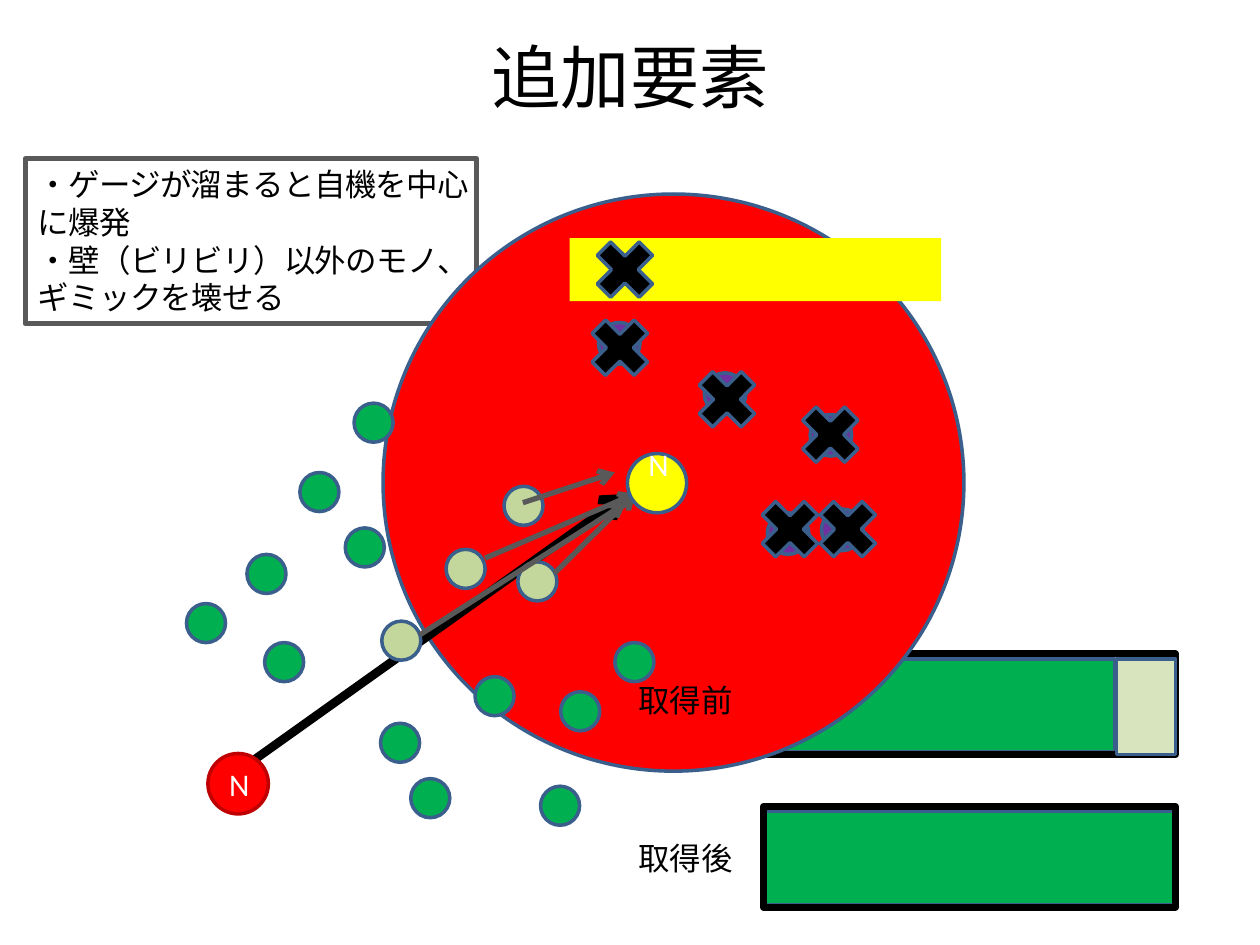
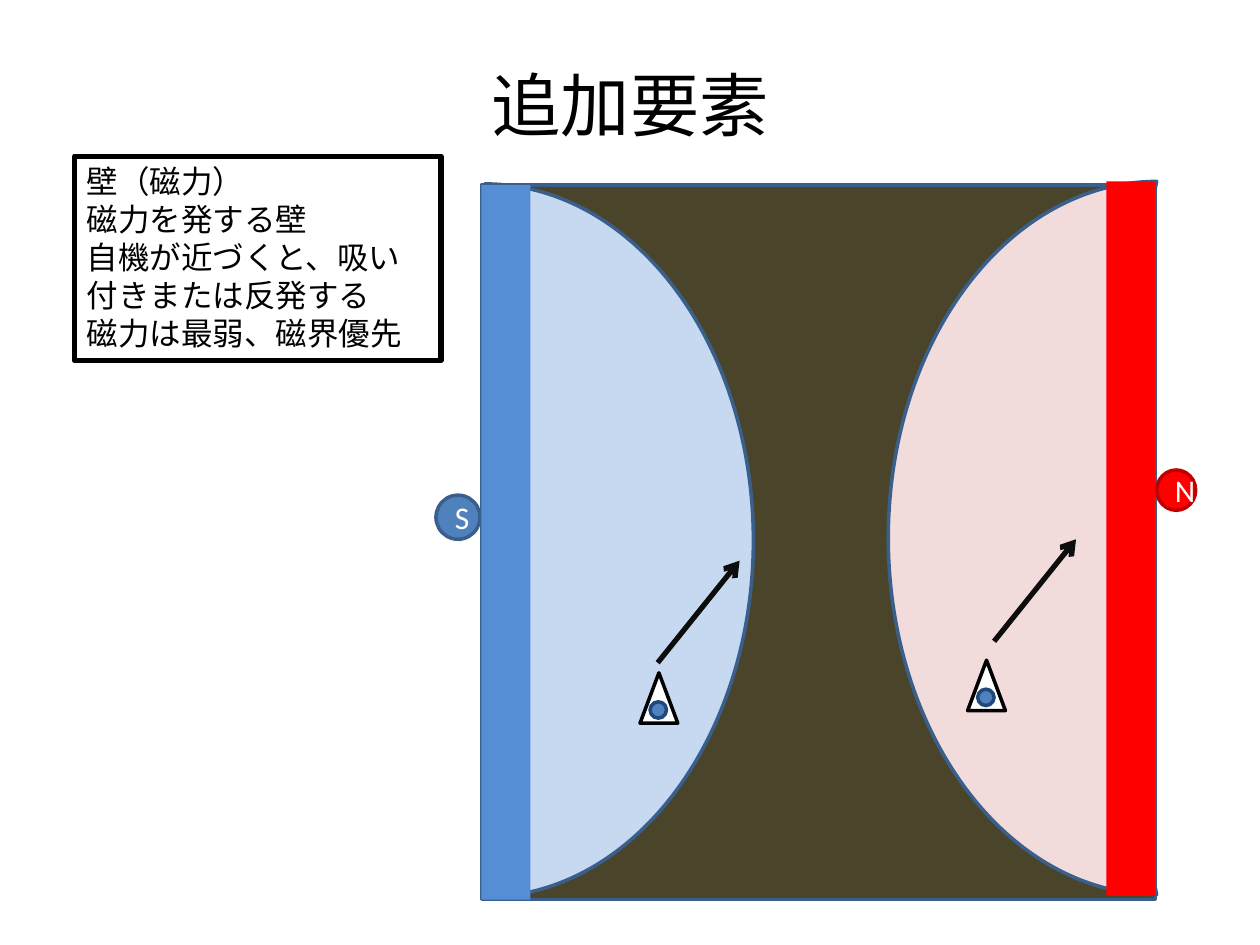
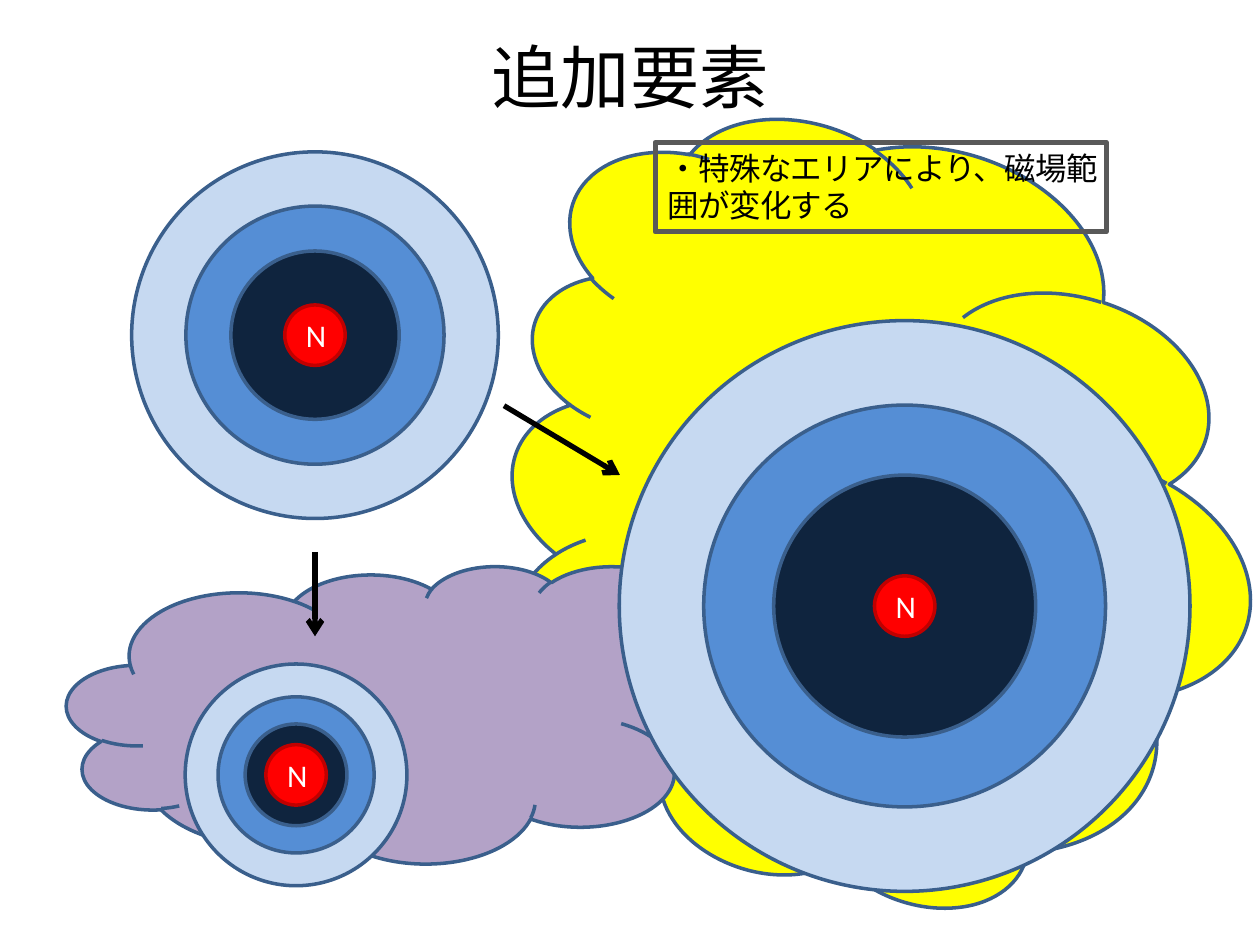
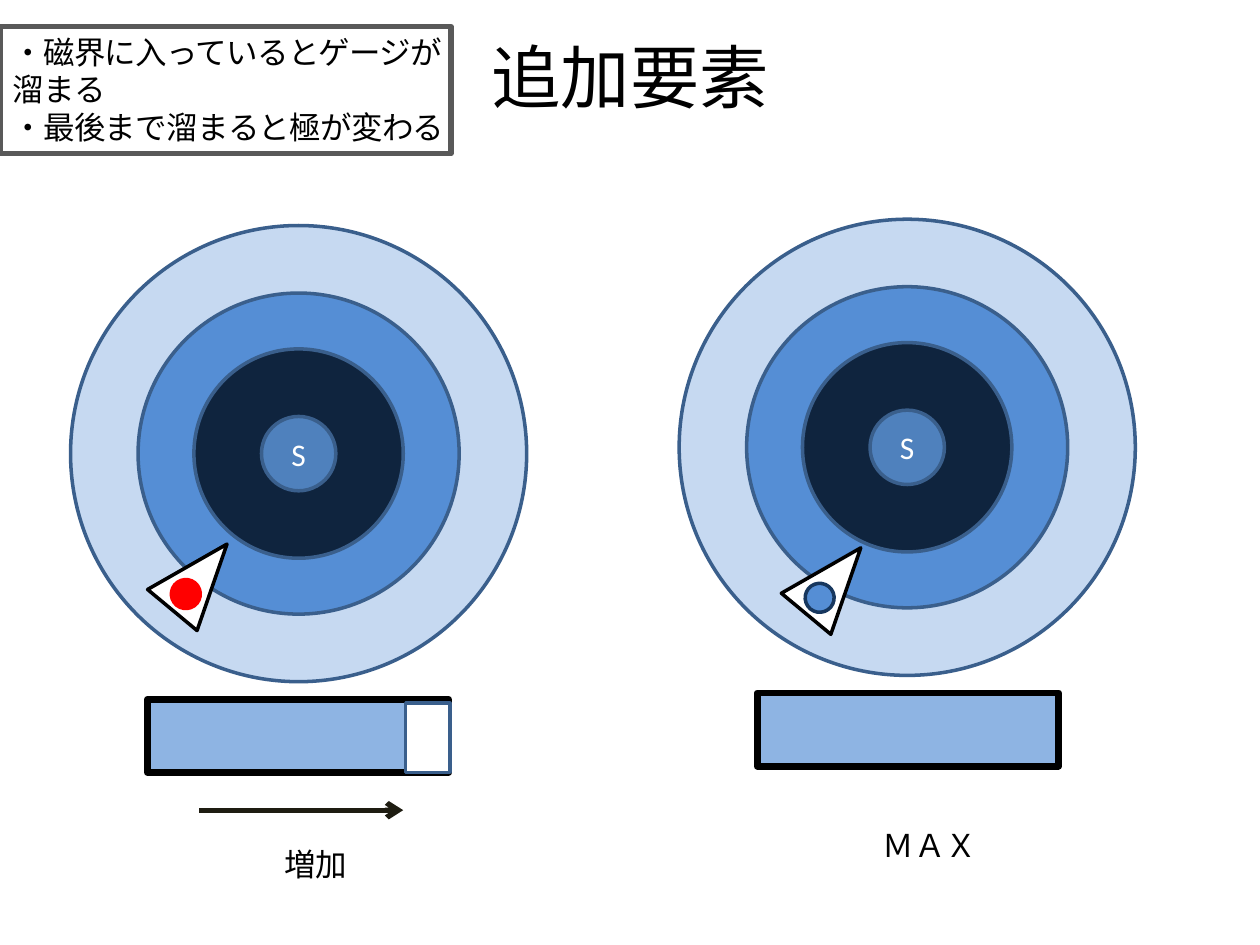
from lxml import etree
from pptx import Presentation
from pptx import util as u
from pptx.dml.color import RGBColor
from pptx.enum import shapes, text
from pptx.oxml import ns

COLOURS = {
    "black": "000000", "white": "FFFFFF", "grey": "595959", "ink": "0D0D0D",
    "outline": "3A5F8C", "red": "FF0000", "dark red": "C00000",
    "yellow": "FFFF00", "green": "00B050", "pale green": "C3D69B",
    "empty green": "D7E4BD", "purple": "7030A0", "lilac": "B3A2C7",
    "pole blue": "4F81BD", "pale blue": "C6D9F1", "mid blue": "558ED5",
    "night blue": "0F243E", "gauge blue": "8EB4E3", "deep blue": "1F497D",
    "ship blue": "17375E", "olive": "4A452A", "pale red": "F2DCDB",
    "dark olive": "1E1C11",
}
RGB = {name: RGBColor.from_string(value) for name, value in COLOURS.items()}
FONT = "Calibri"
KIND = shapes.MSO_SHAPE
LEFT, CENTER = text.PP_ALIGN.LEFT, text.PP_ALIGN.CENTER
TOP, MIDDLE = text.MSO_ANCHOR.TOP, text.MSO_ANCHOR.MIDDLE
DOT = "\u30fb"  # the middle dot that opens each rule

deck = Presentation()
deck.slide_width, deck.slide_height = u.Inches(10), u.Inches(7.5)
# The page grid: 100 columns by 75 rows of square cells.
COL = deck.slide_width / 100
ROW = deck.slide_height / 75


def draw(slide, kind, box, fill=None, edge="outline", weight=2, words="",
         ink="white", align=CENTER, anchor=MIDDLE):
    """Add a preset shape; box is left, top, width, height in grid cells."""
    left, top, width, height = box
    shape = slide.shapes.add_shape(kind, round(left * COL), round(top * ROW),
                                   round(width * COL), round(height * ROW))
    shape.shadow.inherit = False
    if fill:
        shape.fill.solid()
        shape.fill.fore_color.rgb = RGB[fill]
    else:
        shape.fill.background()
    if edge:
        shape.line.color.rgb = RGB[edge]
        shape.line.width = u.Pt(weight)
    else:
        shape.line.fill.background()
    if words:
        frame = shape.text_frame
        frame.text = words
        frame.word_wrap = True
        frame.vertical_anchor = anchor
        for paragraph in frame.paragraphs:
            paragraph.alignment = align
            run = paragraph.runs[0]
            run.font.name, run.font.size = FONT, u.Pt(18)
            run.font.color.rgb = RGB[ink]
            if words.startswith(DOT):  # fourteen full-width characters a line
                frame.margin_right = 0
                run._r.get_or_add_rPr().set("spc", "-40")
    return shape


def draw_arrow(slide, start, end, colour="black", weight=3):
    """Add a straight arrow between two grid points."""
    arrow = slide.shapes.add_connector(
        shapes.MSO_CONNECTOR.STRAIGHT, round(start[0] * COL), round(start[1] * ROW),
        round(end[0] * COL), round(end[1] * ROW))
    arrow.line.color.rgb = RGB[colour]
    arrow.line.width = u.Pt(weight)
    properties = arrow._element.spPr
    etree.SubElement(properties.find(ns.qn("a:ln")), ns.qn("a:tailEnd"), type="arrow")
    etree.SubElement(properties, ns.qn("a:effectLst"))


# Four slides under one title
pages = []
for title_top in (3, 5.2, 3, 3):
    page = deck.slides.add_slide(deck.slide_layouts[5])
    title = page.shapes.title
    title.left, title.top = round(5 * COL), round(title_top * ROW)
    title.width, title.height = round(90 * COL), round(6.1 * ROW)
    title.text_frame.text = "追加要素"
    title.text_frame.auto_size = text.MSO_AUTO_SIZE.NONE
    title.text_frame.vertical_anchor = MIDDLE
    heading = title.text_frame.paragraphs[0]
    heading.alignment = CENTER
    heading.runs[0].font.name, heading.runs[0].font.size = FONT, u.Pt(39.6)
    heading.runs[0].font.color.rgb = RGB["black"]
    pages.append(page)
explosion, walls, areas, charging = pages

# Slide 1: rules, gauges before and after, then the blast
draw(explosion, KIND.RECTANGLE, (2, 12.6, 35.8, 13.1), None, "grey", 3,
     DOT + "ゲージが溜まると自機を中心に爆発\n"
     + DOT + "壁\uff08ビリビリ\uff09以外のモノ、ギミックを壊せる", "black", LEFT, TOP)
for gauge_top, filled in ((51.9, 27.9), (64, 32.7)):
    draw(explosion, KIND.RECTANGLE, (60.6, gauge_top + 0.4, filled, 7.4), "green")
    draw(explosion, KIND.RECTANGLE, (60.6, gauge_top, 32.7, 8), None, "black", 4)
    if filled < 32.7:
        draw(explosion, KIND.RECTANGLE, (88.6, gauge_top + 0.4, 4.7, 7.6), "empty green")
draw(explosion, KIND.OVAL, (30.4, 15.4, 46.1, 45.8), "red")
draw_arrow(explosion, (19.9, 60.5), (49.8, 39.2), weight=5)

items = {
    "green": ((27.4, 41.9), (19.6, 44), (21, 51), (48.8, 51), (30.2, 57.4),
              (32.6, 61.8), (42.9, 62.4), (44.5, 54.9), (28.1, 32),
              (23.8, 37.5), (14.8, 47.9), (37.7, 53.7)),
    "pale green": ((41.1, 44.6), (40, 38.6), (35.4, 43.6), (30.3, 49.3)),
}
for colour, places in items.items():
    for left, top in places:
        draw(explosion, KIND.OVAL, (left, top, 3.1, 3.1), colour)
for start, end in (((41.5, 39.9), (48.8, 37.5)), ((38.5, 44.3), (50.4, 39.2)),
                   ((44, 45.5), (50.4, 39.2)), ((33.3, 50.4), (49.7, 39.9))):
    draw_arrow(explosion, start, end, "grey")

draw(explosion, KIND.OVAL, (16.5, 59.8, 4.8, 4.8), "red", "dark red", words="N")
blast_core = draw(explosion, KIND.OVAL, (49.8, 36, 4.7, 4.7), "yellow", words="N")
blast_core.text_frame.margin_top = round(-2.5 * ROW)  # raises the letter
draw(explosion, KIND.RECTANGLE, (45.2, 18.9, 29.5, 5), "yellow", None)
for left, top in ((65.2, 40.4), (55.9, 29.6), (60.9, 40.7), (64.3, 32.9), (47.5, 25.6)):
    draw(explosion, KIND.OVAL, (left, top, 3.3, 3.3), "purple")
for left, top in ((46.4, 18.2), (46, 24.4), (54.5, 28.5), (62.7, 31.3),
                  (64.1, 38.8), (59.5, 38.8)):
    draw(explosion, KIND.MATH_MULTIPLY, (left, top, 6.4, 6.4), "black")

# Slide 2: magnetic walls and their fields
draw(walls, KIND.RECTANGLE, (38.2, 14.7, 53.5, 56.7), "olive")
draw(walls, KIND.RECTANGLE, (5.9, 12.4, 29.1, 16.2), None, "black", 3,
     "壁\uff08磁力\uff09\n磁力を発する壁\n自機が近づくと、吸い付きまたは反発する\n"
     "磁力は最弱、磁界優先", "black", LEFT, TOP)
draw(walls, KIND.OVAL, (34.6, 39.3, 3.5, 3.5), "pole blue", words="S")
draw(walls, KIND.OVAL, (91.8, 37.3, 3.1, 3.2), "red", "dark red", words="N")
for field_left, field_top, field, wall_left, wall_top, wall, flipped in (
    (38.5, 14.6, "pale blue", 38.2, 14.7, "mid blue", True),
    (70.5, 14.4, "pale red", 87.8, 14.4, "red", False),
):
    moon = draw(walls, KIND.MOON, (field_left, field_top, 21.3, 56.6), field)
    moon.adjustments[0] = 0.875
    if flipped:
        moon._element.spPr.find(ns.qn("a:xfrm")).set("flipH", "1")
    draw(walls, KIND.RECTANGLE, (wall_left, wall_top, 3.9, 56.7), wall, None)
for left, top, start in ((76.8, 52.4, (78.9, 50.9)), (50.8, 53.4, (52.2, 52.6))):
    draw(walls, KIND.ISOSCELES_TRIANGLE, (left, top, 3, 4), "white", "black")
    draw(walls, KIND.OVAL, (left + 0.8, top + 2.3, 1.3, 1.3), "pole blue", "deep blue")
    draw_arrow(walls, start, (start[0] + 6.5, start[1] - 8.1), "ink")

# Slide 3: the special areas
growing = draw(areas, KIND.CLOUD, (39.7, 10.5, 59.4, 61.1), "yellow")
growing.rotation = 287.6
draw(areas, KIND.CLOUD, (5.3, 44.9, 55.7, 23.6), "lilac")

# Slides 3 and 4: magnetic fields as rings around a pole
rings = (("pale blue", 1), ("mid blue", 0.704), ("night blue", 0.459))
for page, x, y, size, core, pole, fill, edge in (
    (areas, 25, 26.6, 29.1, 4.8, "N", "red", "dark red"),
    (areas, 71.8, 48.1, 45.3, 4.8, "N", "red", "dark red"),
    (areas, 23.5, 61.5, 17.6, 4.8, "N", "red", "dark red"),
    (charging, 23.7, 36, 36.2, 5.9, "S", "pole blue", "outline"),
    (charging, 72, 35.5, 36.2, 5.9, "S", "pole blue", "outline"),
):
    for colour, share in rings:
        across = size * share
        draw(page, KIND.OVAL, (x - across / 2, y - across / 2, across, across), colour)
    draw(page, KIND.OVAL, (x - core / 2, y - core / 2, core, core), fill, edge, words=pole)

draw(areas, KIND.RECTANGLE, (52, 11.3, 35.8, 7.1), None, "grey", 3,
     DOT + "特殊なエリアにより、磁場範囲が変化する", "black", LEFT, TOP)
draw_arrow(areas, (25, 43.8), (25, 50.5))
draw_arrow(areas, (40, 32.2), (49.2, 37.7))

# Slide 4: rules, gauges and ships
draw(charging, KIND.RECTANGLE, (0, 2.1, 35.8, 10.1), None, "grey", 3,
     DOT + "磁界に入っているとゲージが溜まる\n"
     + DOT + "最後まで溜まると極が変わる", "black", LEFT, TOP)
for left, top, full in ((11.7, 55.5, False), (60.1, 55, True)):
    draw(charging, KIND.RECTANGLE, (left, top + 0.3, 20.5, 5.5), "gauge blue")
    draw(charging, KIND.RECTANGLE, (left, top, 23.9, 5.8), "gauge blue", "black", 4)
    if not full:
        draw(charging, KIND.RECTANGLE, (left + 20.5, top + 0.3, 3.5, 5.5), "white")
for left, top, pole, edge in ((13.3, 42.4, "red", "red"),
                              (63.6, 42.7, "mid blue", "ship blue")):
    hull = draw(charging, KIND.ISOSCELES_TRIANGLE, (left, top, 5.1, 6.8), "white", "black")
    hull.rotation = 39.7
    cockpit = draw(charging, KIND.OVAL, (left + 0.3, top + 3.6, 2.3, 2.3), pole, edge)
    cockpit.rotation = 39.7
draw_arrow(charging, (15.8, 64.3), (32, 64.3), "dark olive")

# Captions
for page, left, top, width, words, align in (
    (explosion, 48.5, 53.6, 11.8, "取得前", CENTER),
    (explosion, 48.5, 66.1, 11.8, "取得後", CENTER),
    (charging, 21.6, 66.6, 10, "増加", LEFT),
    (charging, 69.1, 65.1, 10, "\uff2d\uff21\uff38", LEFT),
):
    caption = page.shapes.add_textbox(round(left * COL), round(top * ROW),
                                      round(width * COL), round(4 * ROW)).text_frame
    caption.word_wrap = True
    caption.text = words
    line = caption.paragraphs[0]
    line.alignment = align
    line.runs[0].font.name, line.runs[0].font.size = FONT, u.Pt(18)
    line.runs[0].font.color.rgb = RGB["black"]

deck.save("out.pptx")
